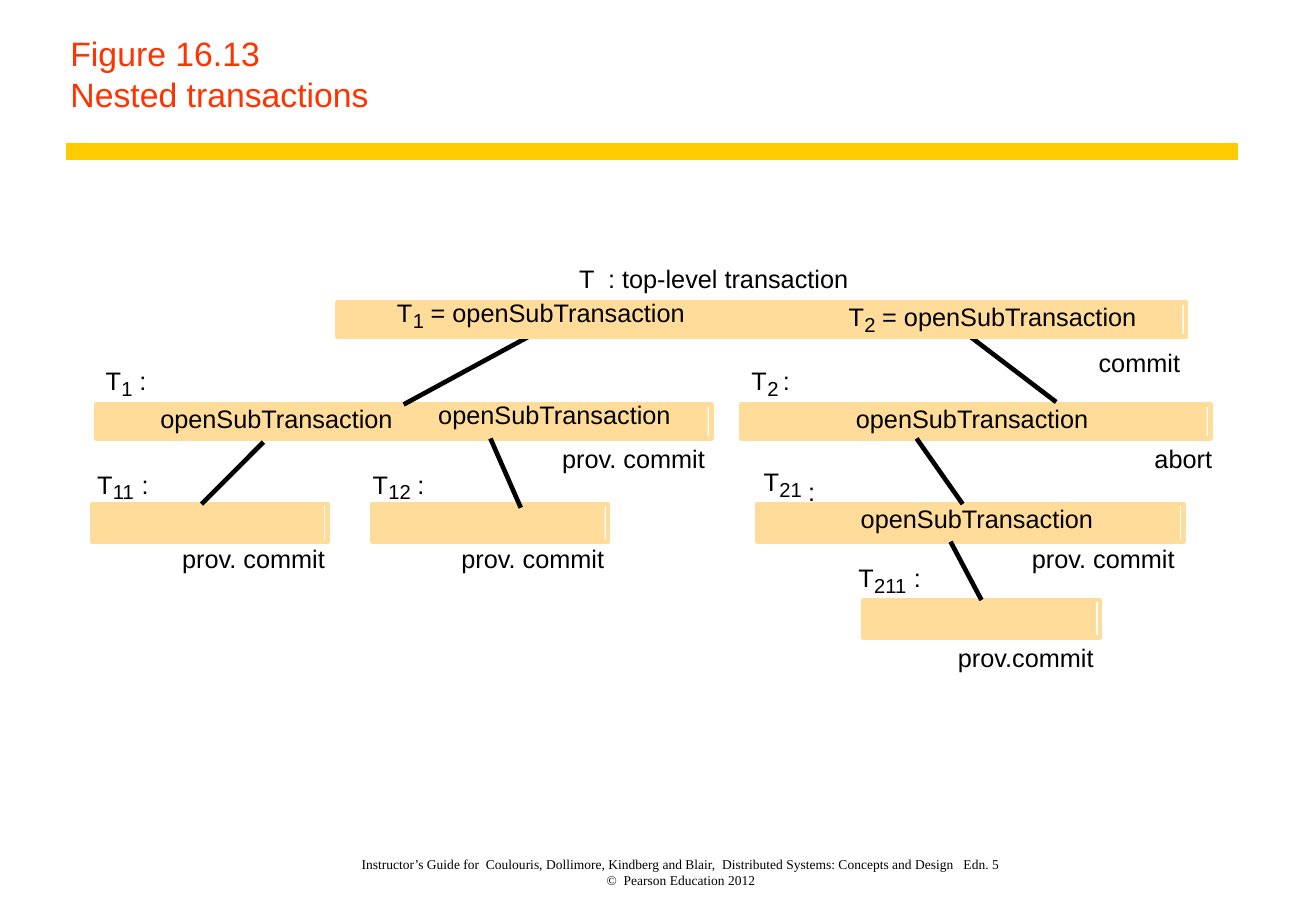
import copy

import pptx
import pptx.dml.color
import pptx.enum.shapes
import pptx.enum.text
import pptx.oxml
import pptx.oxml.ns
import pptx.util

PX = 9144
BLACK, RED, GOLD, PEACH = "000000", "FF3300", "FFCC00", "FFDC99"
ALIGN = pptx.enum.text.PP_ALIGN
ANCHOR = pptx.enum.text.MSO_ANCHOR
CALL = "openSubTransaction"

# name: (box, label offset, separator, separator offset, calls, status, status offset)
TRANSACTIONS = {
    "1": ((79, 333, 507, 28), (8, -32), " :", (0, 0), [(53, -1), (282, -4)], "prov. commit", (384, 32)),
    "2": ((611, 333, 386, 28), (8, -32), ":", (4, 0), [(94, -1)], "abort", (340, 32)),
    "11": ((76, 415, 194, 31), (4, -29), " :", (0, 0), [], "prov. commit", (74, 32)),
    "12": ((307, 415, 194, 31), (0, -29), " :", (0, 0), [], "prov. commit", (73, 32)),
    "21": ((624, 415, 351, 31), (5, -31), " :", (0, 8), [(85, -1)], "prov. commit", (226, 32)),
    "211": ((711, 494, 195, 31), (-4, -31), " :", (0, 0), [], "prov.commit", (78, 35)),
}


def px(length):
    """Turn px into EMU."""
    return pptx.util.Emu(int(length * PX))


def rgb(value):
    """Turn a hex string into a colour."""
    return pptx.dml.color.RGBColor.from_string(value)


def write(shape, text, size=15, font="Arial", color=BLACK, align=ALIGN.LEFT,
          anchor=ANCHOR.TOP, margins=(0, 0, 0, 0), wrap=False):
    """Put formatted text into a shape."""
    frame = shape.text_frame
    frame.auto_size = pptx.enum.text.MSO_AUTO_SIZE.NONE
    frame.word_wrap = wrap
    frame.vertical_anchor = anchor
    frame.margin_left, frame.margin_top, frame.margin_right, frame.margin_bottom = map(px, margins)
    paragraph = frame.paragraphs[0]
    paragraph.text = text
    paragraph.alignment = align
    for run in paragraph.runs:
        run.font.size = pptx.util.Pt(size)
        run.font.name = font
        run.font.color.rgb = rgb(color)
    for line_break in paragraph._p.findall(pptx.oxml.ns.qn("a:br")):
        line_break.insert(0, copy.deepcopy(paragraph.runs[0]._r.rPr))


def add_text(slide, text, box, **style):
    """Add a text box with formatted text."""
    write(slide.shapes.add_textbox(*map(px, box)), text, **style)


def add_line(slide, start, end, color=BLACK, width=2.75):
    """Add a straight line between two points."""
    line = slide.shapes.add_connector(
        pptx.enum.shapes.MSO_CONNECTOR.STRAIGHT, *map(px, start + end))
    line.line.color.rgb = rgb(color)
    line.line.width = pptx.util.Pt(width)
    line._element.spPr.append(pptx.oxml.parse_xml(
        "<a:effectLst %s/>" % pptx.oxml.ns.nsdecls("a")))
    return line


def add_bar(slide, box):
    """Draw a filled bar with its slightly larger frame and return the frame."""
    left, top, width, height = box
    rectangle = pptx.enum.shapes.MSO_SHAPE.RECTANGLE
    body = slide.shapes.add_shape(rectangle, *map(px, (left, top, width - 3, height - 2)))
    frame = slide.shapes.add_shape(rectangle, *map(px, box))
    body.fill.solid()
    body.fill.fore_color.rgb = rgb(PEACH)
    body.line.fill.background()
    frame.fill.background()
    frame.line.color.rgb = rgb(PEACH)
    frame.line.width = pptx.util.Pt(2.75)
    for part in (body, frame):
        part.shadow.inherit = False
    return frame


def add_label(slide, left, top, index, tail, shift=(0, 0)):
    """Write T with a lowered index and a following text."""
    index_width = 9 * len(index)
    add_text(slide, "T", (left, top, 13, 25))
    add_text(slide, index, (left + 13, top + 9, index_width, 20), size=12)
    add_text(slide, tail, (left + 13 + index_width + shift[0], top + shift[1], 10 * len(tail), 25))


def add_transaction(slide, index, box, label, separator, shift, calls, status, status_at):
    """Draw one nested transaction relative to its box."""
    left, top = box[:2]
    frame = add_bar(slide, box)
    add_label(slide, left + label[0], top + label[1], index, separator, shift)
    for dx, dy in calls:
        add_text(slide, CALL, (left + dx, top + dy, 192, 25))
    add_text(slide, status, (left + status_at[0], top + status_at[1], 119, 25))
    return frame


def add_top_level(slide, box):
    """Draw the top-level transaction with its two calls."""
    left, top = box[:2]
    add_text(slide, "T  : top-level transaction", (left + 199, top - 32, 222, 25))
    add_bar(slide, box)
    add_label(slide, left + 49, top - 4, "1", " = " + CALL)
    add_label(slide, left + 421, top - 1, "2", " = " + CALL)
    add_text(slide, "commit", (left + 627, top + 37, 67, 25))


def add_tree(slide):
    """Draw the transactions and the lines that join them."""
    frames = {index: add_transaction(slide, index, *parts)
              for index, parts in TRANSACTIONS.items()}
    add_line(slide, (445, 272), (335, 331)).end_connect(frames["1"], 0)
    add_line(slide, (795, 274), (870, 331))
    add_line(slide, (217, 364), (166, 415))
    add_line(slide, (404, 361), (429, 418))
    add_line(slide, (755, 361), (793, 415))
    add_line(slide, (783, 446), (811, 492)).end_connect(frames["211"], 0)
    add_top_level(slide, (278, 249, 699, 28))


def add_header(slide, box):
    """Place the title and the gold rule under it."""
    left, top, width, height = box
    title = slide.shapes.title
    title.left, title.top, title.width, title.height = map(px, box)
    write(title, "Figure 16.13\nNested transactions", size=20, color=RED,
          anchor=ANCHOR.BOTTOM, margins=(10, 6, 14, 6), wrap=True)
    rule = top + height + 25
    add_line(slide, (left + 6, rule), (left + width, rule), color=GOLD, width=10)


def add_footer(slide, box):
    """Write the source and copyright lines."""
    add_text(slide, "Instructor’s Guide for  Coulouris, Dollimore, Kindberg and Blair,  "
             "Distributed Systems: Concepts and Design   Edn. 5\n©  Pearson Education 2012",
             box, size=8, font="Times New Roman", align=ALIGN.CENTER,
             anchor=ANCHOR.BOTTOM, margins=(0, 0, 8, 0), wrap=True)


def main():
    """Build and save the slide."""
    deck = pptx.Presentation()
    deck.slide_width, deck.slide_height = px(1084), px(750)
    slide = deck.slides.add_slide(deck.slide_layouts[5])
    add_header(slide, (48, 0, 972, 100))
    add_tree(slide)
    add_footer(slide, (235, 692, 660, 39))
    deck.save("out.pptx")


if __name__ == "__main__":
    main()
